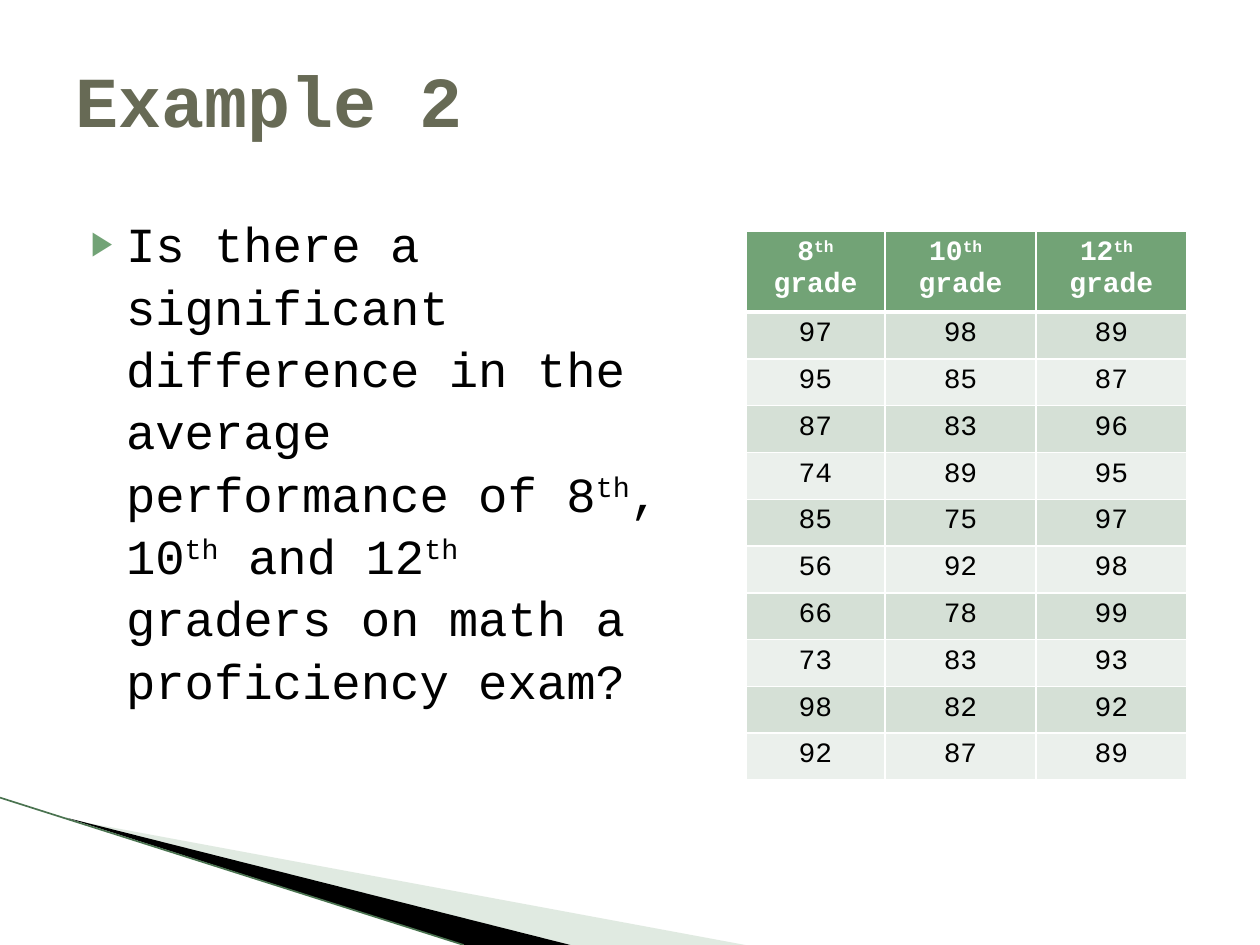
"""Build the Example 2 slide with a question and a table of grades."""
from dataclasses import dataclass

from lxml.etree import SubElement as Sub
from pptx import Presentation
from pptx.dml.color import RGBColor as RGB
from pptx.enum.text import MSO_ANCHOR as Anchor, MSO_AUTO_SIZE as Fit, PP_ALIGN as Align
from pptx.oxml.ns import qn
from pptx.util import Pt


@dataclass(frozen=True)
class Theme:
    """Hold the font, colours and type sizes."""
    font: str = "Courier New"
    title: str = "676A55"
    green: str = "72A376"
    edge: str = "4A7350"
    pale: str = "B3CBB5"
    bands: tuple = ("D5E0D6", "EBF0EC")
    ink: str = "000000"
    white: str = "FFFFFF"
    big: int = 41
    body: int = 28
    small: int = 16


class Deck:
    """Draw styled elements on the current slide."""

    def __init__(self, theme):
        """Open a deck with one title and content slide."""
        self.theme = theme
        self.deck = Presentation()
        self.deck.slide_width, self.deck.slide_height = Pt(720), Pt(540)
        self.slide = self.deck.slides.add_slide(self.deck.slide_layouts[1])

    def letter(self, frame, text, size, color, bold=False, align=Align.LEFT):
        """Set lines of text, with superscripts between carets."""
        frame.text = ""
        for row, line in enumerate(text.split("\n")):
            para = frame.add_paragraph() if row else frame.paragraphs[0]
            para.alignment = align
            for pos, part in enumerate(line.split("^")):
                if not part:
                    continue
                run = para.add_run()
                run.text = part
                font = run.font
                font.name, font.size, font.bold = self.theme.font, Pt(size), bold
                font.color.rgb = RGB.from_string(color)
                if pos % 2:
                    run._r.get_or_add_rPr().set("baseline", "30000")

    def place(self, shape, x, y, w, h):
        """Move a placeholder and fix its text box."""
        shape.left, shape.top, shape.width, shape.height = map(Pt, (x, y, w, h))
        frame = shape.text_frame
        frame.word_wrap, frame.auto_size = True, Fit.NONE
        frame.vertical_anchor = Anchor.TOP
        return frame

    def title(self, text, *box):
        """Fill the title."""
        frame = self.place(self.slide.shapes.title, *box)
        frame.margin_top = Pt(10.5)
        self.letter(frame, text, self.theme.big, self.theme.title, True)

    def bullet(self, text, *box):
        """Fill the body with one bulleted paragraph."""
        frame = self.place(self.slide.placeholders[1], *box)
        self.letter(frame, text, self.theme.body, self.theme.ink)
        para = frame.paragraphs[0]
        para.space_before, para.line_spacing = Pt(4), 1.06
        props = para._p.get_or_add_pPr()
        props.set("marL", str(Pt(28.8)))
        props.set("indent", str(Pt(-20)))
        tint = Sub(props, qn("a:buClr"))
        Sub(tint, qn("a:srgbClr"), val=self.theme.green)
        Sub(props, qn("a:buSzPct"), val="68000")
        Sub(props, qn("a:buChar"), char="▶")

    def wedge(self, points, color, alpha=100):
        """Draw a filled outline."""
        first, *rest = [(Pt(x), Pt(y)) for x, y in points]
        outline = self.slide.shapes.build_freeform(*first)
        outline.add_line_segments(rest, close=True)
        shape = outline.convert_to_shape()
        shape.shadow.inherit = False
        shape.line.fill.background()
        shape.fill.solid()
        shape.fill.fore_color.rgb = RGB.from_string(color)
        if alpha < 100:
            tint = shape._element.spPr.find(".//" + qn("a:srgbClr"))
            Sub(tint, qn("a:alpha"), val=str(alpha * 1000))

    def line(self, start, end, color, width):
        """Draw a straight line."""
        ends = [Pt(v) for v in (*start, *end)]
        link = self.slide.shapes.add_connector(1, *ends)
        link.line.color.rgb = RGB.from_string(color)
        link.line.width = Pt(width)
        Sub(link._element.spPr, qn("a:effectLst"))

    def border(self, cell, top, base):
        """Draw the four white borders of a cell."""
        props = cell._tc.get_or_add_tcPr()
        for side, width in zip("LRTB", (1, 1, top, base)):
            edge = Sub(props, qn(f"a:ln{side}"), w=str(Pt(width)))
            fill = Sub(edge, qn("a:solidFill"))
            Sub(fill, qn("a:srgbClr"), val=self.theme.white)

    def table(self, rows, left, top, cols, head, step):
        """Draw a banded table with a header row."""
        theme = self.theme
        high = head + step * (len(rows) - 1)
        grid = self.slide.shapes.add_table(
            len(rows), len(cols), Pt(left), Pt(top), Pt(sum(cols)), Pt(high)).table
        for col, width in zip(grid.columns, cols):
            col.width = Pt(width)
        for r, row in enumerate(rows):
            grid.rows[r].height = Pt(step if r else head)
            back = theme.bands[(r - 1) % 2] if r else theme.green
            ink = theme.ink if r else theme.white
            for c, text in enumerate(row):
                cell = grid.cell(r, c)
                self.letter(cell.text_frame, str(text), theme.small, ink,
                            r == 0, Align.CENTER)
                self.border(cell, 3 if r == 1 else 1, 1 if r else 3)
                cell.fill.solid()
                cell.fill.fore_color.rgb = RGB.from_string(back)

    def save(self):
        """Save the deck."""
        self.deck.save("out.pptx")


def main():
    """Compose and save the slide."""
    theme = Theme()
    deck = Deck(theme)
    deck.wedge([(39.6, 468.3), (426, 540), (326, 540)], theme.pale, 40)
    deck.wedge([(38, 467.3), (326, 540), (265, 540)], theme.ink)
    deck.line((0, 455.8), (265, 540), theme.edge, 0.95)
    deck.bullet("Is there a significant difference in the average performance of "
                "8^th^, 10^th^ and 12^th^ graders on math a proficiency exam?",
                36, 116.6, 348, 356.4)
    deck.title("Example 2", 36, 21.6, 648, 90)
    grades = [
        ("8^th^\ngrade", "10^th ^\ngrade", "12^th ^\ngrade"),
        (97, 98, 89), (95, 85, 87), (87, 83, 96), (74, 89, 95), (85, 75, 97),
        (56, 92, 98), (66, 78, 99), (73, 83, 93), (98, 82, 92), (92, 87, 89),
    ]
    deck.table(grades, 426.2, 132, (79.6, 86.2, 86.2), 46.4, 26.74)
    deck.save()


if __name__ == "__main__":
    main()
